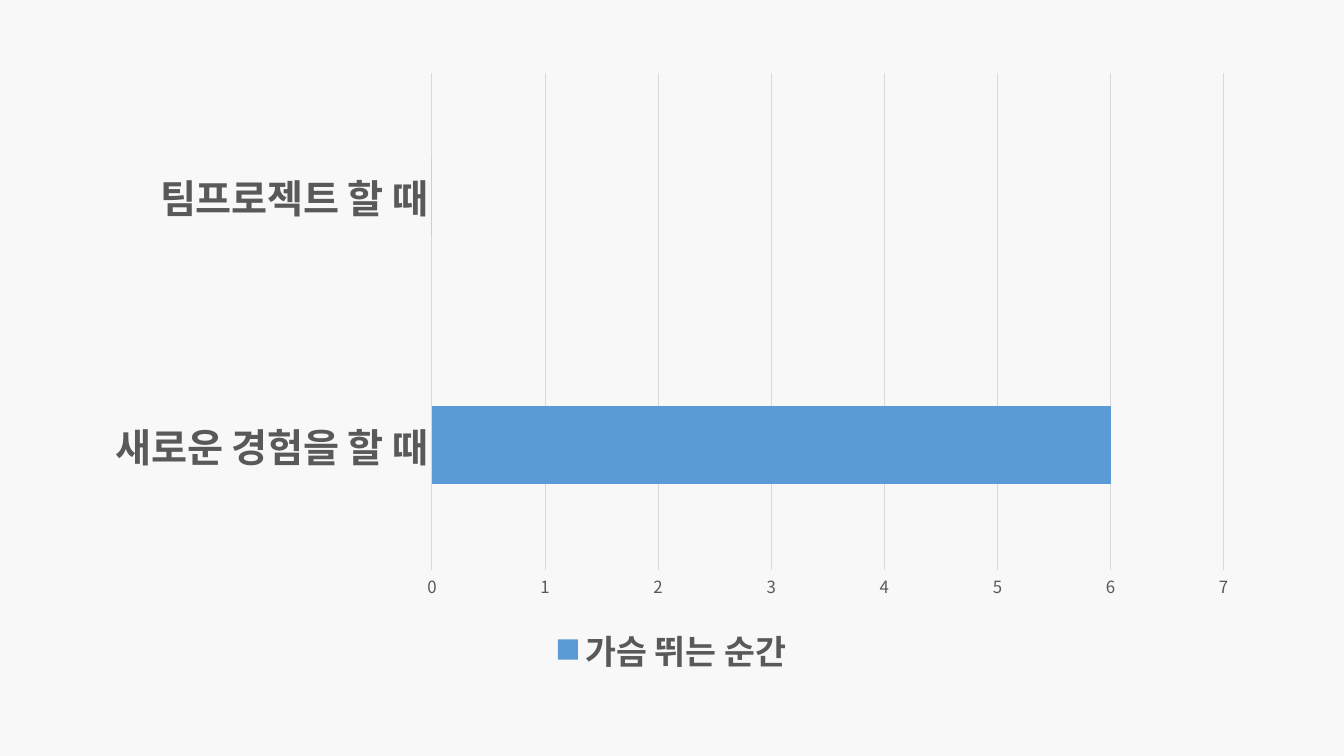
from lxml import etree
from pptx import Presentation
from pptx.chart.data import CategoryChartData
from pptx.dml.color import RGBColor
from pptx.enum.chart import XL_CHART_TYPE, XL_LEGEND_POSITION, XL_TICK_MARK
from pptx.oxml.ns import qn
from pptx.util import Pt

BAR_CLUSTERED = XL_CHART_TYPE.BAR_CLUSTERED
LEGEND_BOTTOM = XL_LEGEND_POSITION.BOTTOM
NO_TICK = XL_TICK_MARK.NONE

FONT = "Noto Sans CJK KR"
BACKGROUND, TEXT, RULE, BAR = "F8F8F8", "595959", "D9D9D9", "5B9BD5"
BLANK_LAYOUT = 6


def color(hex_string):
    return RGBColor.from_string(hex_string)


def format_font(font, size, bold=False, fill=TEXT):
    font.name = FONT
    font.size = Pt(size)
    font.bold = bold
    font.color.rgb = color(fill)


def format_line(line, width=0.75):
    line.color.rgb = color(RULE)
    line.width = Pt(width)


def use_font_for_korean(chart):
    """Give every latin font of the chart a matching East Asian font."""
    for latin in list(chart.element.iter(qn("a:latin"))):
        east_asian = etree.Element(qn("a:ea"), typeface=FONT)
        latin.addnext(east_asian)


def add_moments_chart(page, left, top, width, height):
    moments = CategoryChartData()
    moments.categories = ["새로운 경험을 할 때", "팀프로젝트 할 때"]
    moments.add_series("가슴 뛰는 순간", [6, 0])
    chart = page.shapes.add_chart(
        BAR_CLUSTERED, Pt(left), Pt(top), Pt(width), Pt(height), moments
    ).chart
    chart.has_title = False
    format_font(chart.font, 10, fill="000000")

    plot = chart.plots[0]
    plot.gap_width = 219
    plot.vary_by_categories = False
    bars = plot.series[0].format.fill
    bars.solid()
    bars.fore_color.rgb = color(BAR)

    names, scale = chart.category_axis, chart.value_axis
    for axis in (names, scale):
        axis.major_tick_mark = axis.minor_tick_mark = NO_TICK
    format_font(names.tick_labels.font, 28, bold=True)
    format_line(names.format.line)

    format_font(scale.tick_labels.font, 12)
    scale.minimum_scale, scale.maximum_scale, scale.major_unit = 0, 7, 1
    scale.format.line.fill.background()
    scale.has_major_gridlines = True
    format_line(scale.major_gridlines.format.line)

    chart.has_legend = True
    chart.legend.position = LEGEND_BOTTOM
    chart.legend.include_in_layout = False
    format_font(chart.legend.font, 24, bold=True)
    use_font_for_korean(chart)


def main():
    deck = Presentation()
    deck.slide_width, deck.slide_height = Pt(960), Pt(540)
    page = deck.slides.add_slide(deck.slide_layouts[BLANK_LAYOUT])
    page.background.fill.solid()
    page.background.fill.fore_color.rgb = color(BACKGROUND)
    add_moments_chart(page, left=66, top=43, width=828, height=443)
    deck.save("out.pptx")


if __name__ == "__main__":
    main()
